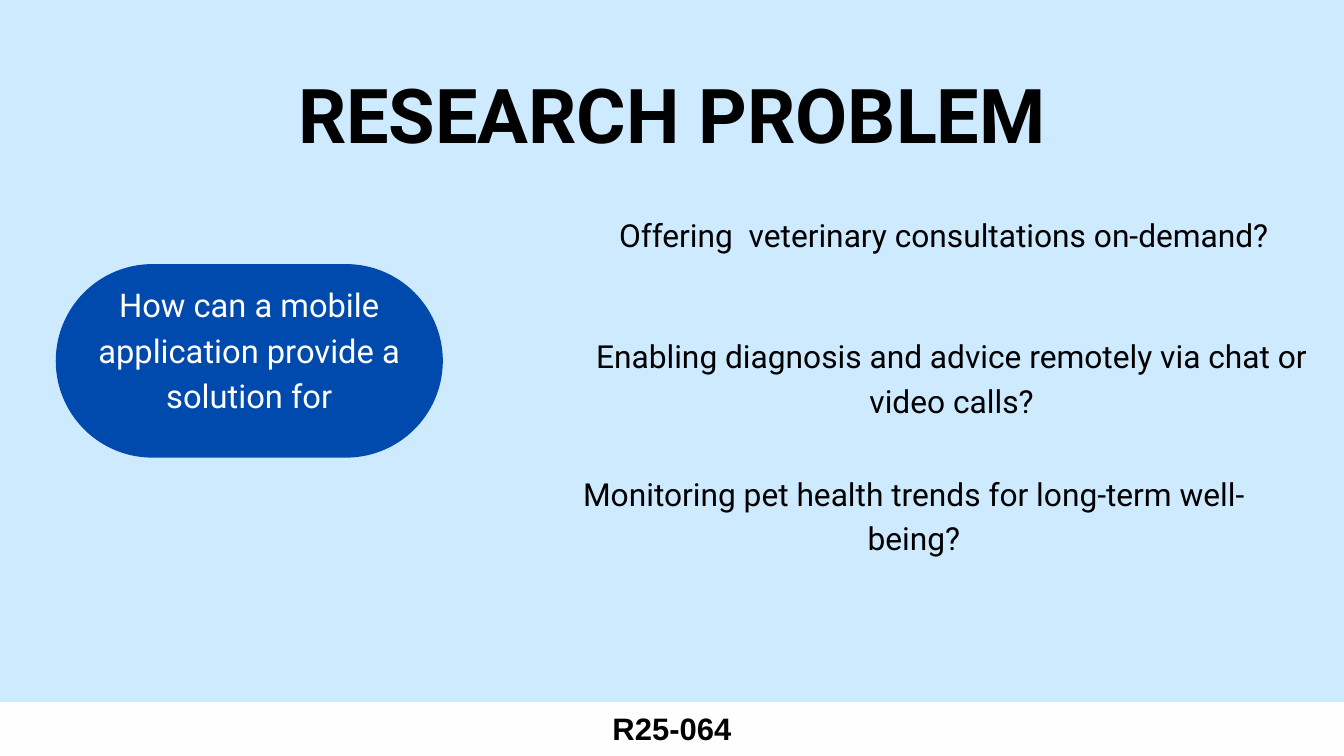
import pptx
import pptx.util
import pptx.dml.color
import pptx.enum.shapes
import pptx.enum.text
from pptx.util import Inches

COLORS = {
    "background": "CEEAFF",
    "bar": "FEFEFF",
    "pill": "004AAD",
    "dark": "000000",
    "light": "FFFFFF",
}


def rgb(name):
    return pptx.dml.color.RGBColor.from_string(COLORS[name])


class SlideBuilder:
    """Holds the text style and the current slide."""

    font = "Roboto"

    def __init__(self, prs):
        self.s = prs.slides.add_slide(prs.slide_layouts[5])
        fill = self.s.background.fill
        fill.solid()
        fill.fore_color.rgb = rgb("background")

    def set_text(self, sp, box, text, size, spacing, color="dark", bold=False,
                 font=None, inset=0, anchor="TOP"):
        sp.left, sp.top, sp.width, sp.height = map(Inches, box)
        tf = sp.text_frame
        tf.text = text
        tf.word_wrap = True
        tf.auto_size = pptx.enum.text.MSO_AUTO_SIZE.NONE
        tf.vertical_anchor = pptx.enum.text.MSO_ANCHOR[anchor]
        tf.margin_left = tf.margin_right = Inches(inset)
        tf.margin_top = tf.margin_bottom = Inches(inset)
        p = tf.paragraphs[0]
        p.alignment = pptx.enum.text.PP_ALIGN.CENTER
        p.line_spacing = pptx.util.Pt(spacing)
        p.space_before = pptx.util.Pt(0)
        r = p.runs[0]
        r.font.name = font or self.font
        r.font.size = pptx.util.Pt(size)
        r.font.bold = bold
        r.font.color.rgb = rgb(color)

    def title(self, box, text, size, spacing):
        self.set_text(self.s.shapes.title, box, text, size, spacing, bold=True)

    def text(self, box, text, size, spacing, **style):
        sp = self.s.shapes.add_textbox(*map(Inches, box))
        self.set_text(sp, box, text, size, spacing, **style)

    def shape(self, kind, box, color):
        sp = self.s.shapes.add_shape(
            pptx.enum.shapes.MSO_SHAPE[kind], *map(Inches, box))
        sp.shadow.inherit = False
        sp.fill.solid()
        sp.fill.fore_color.rgb = rgb(color)
        sp.line.fill.background()
        return sp


def main():
    prs = pptx.Presentation()
    prs.slide_width, prs.slide_height = Inches(20), Inches(11.25)
    slide = SlideBuilder(prs)

    # Title
    slide.title((4.09, 0.78, 11.82, 1.52), "RESEARCH PROBLEM", 81, 113.4)

    # Footer bar with project code
    slide.shape("RECTANGLE", (0, 10.45, 20, 0.8), "bar")
    slide.text((9.05, 10.47, 1.9, 0.65), "R25-064", 33.2, 46.5,
               bold=True, font="Arial")

    # Main question in a pill
    pill = slide.shape("ROUNDED_RECTANGLE", (0.83, 3.93, 5.76, 2.88), "pill")
    pill.adjustments[0] = 0.5
    slide.text((0.83, 3.52, 5.76, 3.28),
               "How can a mobile application provide a solution for",
               35, 49, color="light", inset=0.06, anchor="MIDDLE")

    # Sub-questions
    questions = [
        ((8.71, 3.12, 10.67, 0.63),
         "Offering  veterinary consultations on-demand?"),
        ((8.49, 4.92, 11.34, 1.29),
         "Enabling diagnosis and advice remotely via chat or video calls?"),
        ((8.33, 6.97, 10.54, 1.29),
         "Monitoring pet health trends for long-term well-being?"),
    ]
    for box, question in questions:
        slide.text(box, question, 34, 47.6)

    prs.save("out.pptx")


if __name__ == "__main__":
    main()
